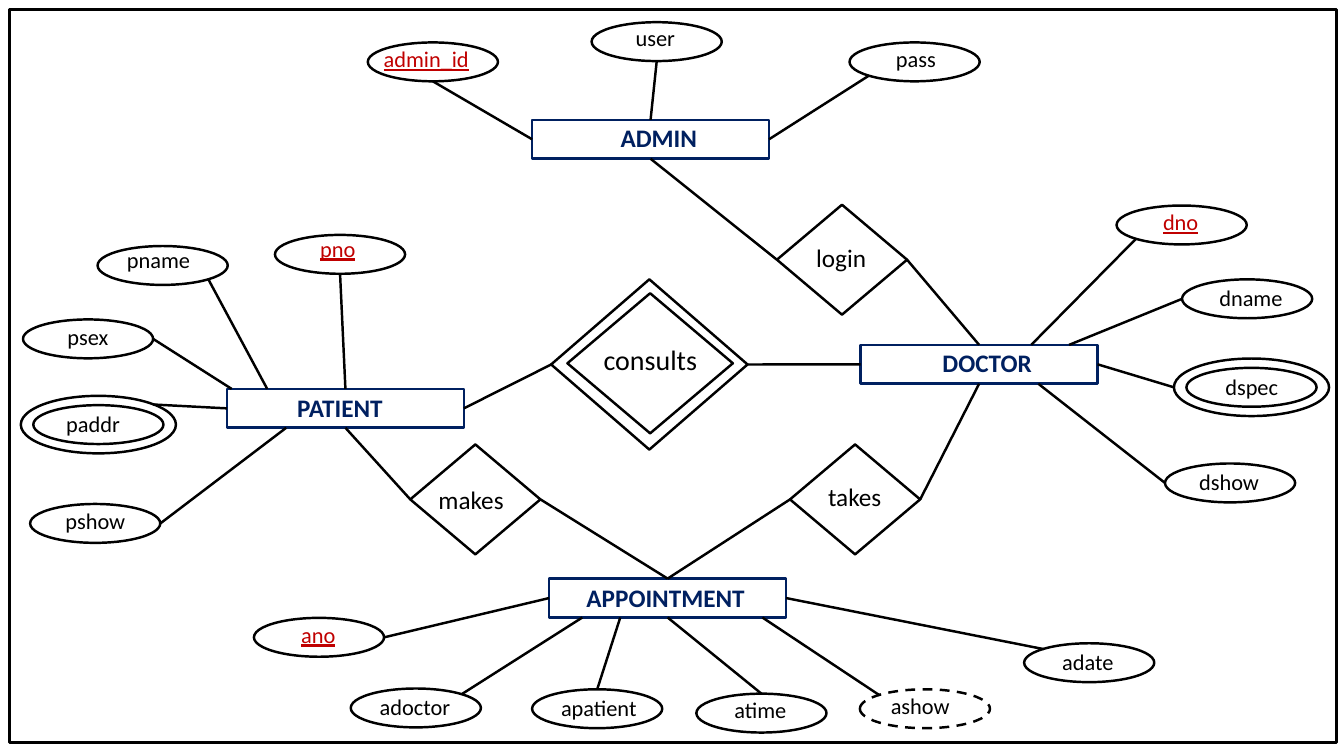
from lxml import etree
from pptx import Presentation
from pptx.dml.color import RGBColor
from pptx.enum.dml import MSO_LINE
from pptx.enum.shapes import MSO_CONNECTOR, MSO_SHAPE
from pptx.enum.text import MSO_AUTO_SIZE
from pptx.oxml.ns import qn
from pptx.util import Cm, Pt

RECT = MSO_SHAPE.RECTANGLE
OVAL = MSO_SHAPE.OVAL
DIAMOND = MSO_SHAPE.FLOWCHART_DECISION
STRAIGHT = MSO_CONNECTOR.STRAIGHT
DASH = MSO_LINE.DASH
FIT = MSO_AUTO_SIZE.SHAPE_TO_FIT_TEXT

FONT = "Calibri"
COLORS = {"ink": "000000", "entity": "002060", "key": "C00000"}
TOP, LEFT, BOTTOM, RIGHT = range(4)

ENTITY_SIZE = (5.97, 0.98)
ATTRIBUTE_SIZE = (3.28, 0.98)
MULTIVALUED_SIZE = (3.91, 1.45)
RELATION_SIZE = (3.28, 2.77)

OVAL_SITES = {
    "top": (0.5, 0), "bottom": (0.5, 1), "left": (0, 0.5), "right": (1, 0.5),
    "top left": (0.15, 0.15), "top right": (0.85, 0.15),
    "bottom left": (0.15, 0.85), "bottom right": (0.85, 0.85),
}

# name: position, label box (left, top, width)
ENTITIES = {
    "ADMIN": ((13.41, 3.02), (15.39, 2.97, 2.6)),
    "PATIENT": ((5.72, 9.8), (7.24, 9.75, 3.43)),
    "DOCTOR": ((21.69, 8.69), (23.5, 8.64, 3.07)),
    "APPOINTMENT": ((13.84, 14.58), (14.53, 14.55, 4.65)),
}

ATTRIBUTES = {
    "ADMIN": [
        ("admin_id", (9.27, 1.07), (9.42, 1.02, 2.67), "bottom", (0, 0.5)),
        ("user", (14.91, 0.56), (15.77, 0.48, 1.52), "bottom", (0.5, 0)),
        ("pass", (21.41, 1.07), (22.33, 1.02, 1.52), "bottom left", (1, 0.5)),
    ],
    "PATIENT": [
        ("pno", (6.93, 5.92), (7.82, 5.79, 1.42), "bottom", (0.5, 0)),
        ("pname", (2.46, 6.2), (2.95, 6.07, 2.11), "bottom right", (0.17, 0)),
        ("psex", (0.58, 8.05), (1.45, 8.03, 1.55), "right", (0.02, 0)),
        ("paddr", (0.84, 10.21), (1.42, 10.21, 1.88), "top right", (0, 0.5)),
        ("pshow", (0.76, 12.7), (1.4, 12.65, 2.03), "right", (0.25, 1)),
    ],
    "DOCTOR": [
        ("dno", (28.14, 5.18), (29.06, 5.13, 1.42), "bottom left", (0.72, 0)),
        ("dname", (29.79, 7.04), (30.48, 7.04, 2.11), "left", (0.88, 0)),
        ("dspec", (29.9, 9.27), (30.63, 9.27, 1.85), "left", (1, 0.5)),
        ("dshow", (29.36, 11.68), (29.97, 11.68, 2.03), "left", (0.75, 1)),
    ],
    "APPOINTMENT": [
        ("ano", (6.4, 15.57), (7.34, 15.52, 1.4), "right", (0, 0.5)),
        ("adoctor", (8.84, 17.35), (9.32, 17.35, 2.31), "top right", (0.14, 1)),
        ("apatient", (13.41, 17.37), (13.89, 17.37, 2.44), "top", (0.3, 1)),
        ("atime", (17.55, 17.48), (18.26, 17.42, 1.83), "top", (0.5, 1)),
        ("ashow", (21.67, 17.37), (22.2, 17.32, 2.01), "top left", (0.9, 1)),
        ("adate", (25.81, 16.21), (26.52, 16.21, 1.83), "top left", (1, 0.5)),
    ],
}
KEYS = {"admin_id", "pno", "dno", "ano"}
MULTIVALUED = {"paddr", "dspec"}
DERIVED = {"ashow"}

RELATIONS = [
    ("login", (19.58, 5.16), (20.32, 5.97, 1.78),
     [(LEFT, "ADMIN", BOTTOM), (RIGHT, "DOCTOR", TOP)]),
    ("makes", (10.34, 11.2), (10.8, 12.07, 2.16),
     [(LEFT, "PATIENT", BOTTOM), (RIGHT, "APPOINTMENT", TOP)]),
    ("takes", (19.91, 11.2), (20.62, 12.01, 1.85),
     [(LEFT, "APPOINTMENT", TOP), (RIGHT, "DOCTOR", BOTTOM)]),
]
CONSULTS_LINKS = [(LEFT, "PATIENT", RIGHT), (RIGHT, "DOCTOR", LEFT)]


def add_outline(s, kind, pos, size, color="ink", width=1.75):
    sp = s.shapes.add_shape(kind, *map(Cm, pos + size))
    sp.shadow.inherit = False
    sp.fill.background()
    sp.line.color.rgb = RGBColor.from_string(COLORS[color])
    sp.line.width = Pt(width)
    return sp


def add_label(s, text, box, size, height, color="ink", wrap=False):
    tf = s.shapes.add_textbox(*map(Cm, box), Cm(height)).text_frame
    tf.word_wrap = wrap
    tf.auto_size = FIT
    tf.text = text
    font = tf.paragraphs[0].runs[0].font
    font.name = FONT
    font.size = Pt(size)
    font.color.rgb = RGBColor.from_string(COLORS[color])
    return font


def add_line(s, start=(0, 0), end=(0, 0)):
    line = s.shapes.add_connector(STRAIGHT, *start, *end)
    line.line.color.rgb = RGBColor.from_string(COLORS["ink"])
    line.line.width = Pt(1.75)
    etree.SubElement(line._element.spPr, qn("a:effectLst"))
    return line


def point_on(sp, site):
    return (round(sp.left + sp.width * site[0]),
            round(sp.top + sp.height * site[1]))


def add_entity(s, name, pos, label):
    sp = add_outline(s, RECT, pos, ENTITY_SIZE, "entity")
    add_label(s, name, label, 18, 1.02, "entity", True).bold = True
    return sp


def add_attribute(s, entity, name, pos, label, site, entity_site):
    sp = add_outline(s, OVAL, pos, ATTRIBUTE_SIZE)
    if name in DERIVED:
        sp.line.dash_style = DASH
    if name in MULTIVALUED:
        outer = tuple(p - (big - small) / 2 for p, big, small
                      in zip(pos, MULTIVALUED_SIZE, ATTRIBUTE_SIZE))
        sp = add_outline(s, OVAL, outer, MULTIVALUED_SIZE)
    add_line(s, point_on(sp, OVAL_SITES[site]), point_on(entity, entity_site))
    font = add_label(s, name, label, 16, 0.94, "key" if name in KEYS else "ink")
    if name in KEYS:
        font.underline = True


def link_relation(s, sp, links, entities):
    for site, name, entity_site in links:
        line = add_line(s)
        line.begin_connect(sp, site)
        line.end_connect(entities[name], entity_site)


def main():
    prs = Presentation()
    prs.slide_width, prs.slide_height = Cm(33.87), Cm(19.05)
    s = prs.slides.add_slide(prs.slide_layouts[6])
    add_outline(s, RECT, (0.25, 0.25), (33.43, 18.47), width=2.25)
    entities = {name: add_entity(s, name, *places)
                for name, places in ENTITIES.items()}
    for owner, attributes in ATTRIBUTES.items():
        for attribute in attributes:
            add_attribute(s, entities[owner], *attribute)
    for name, pos, label, links in RELATIONS:
        sp = add_outline(s, DIAMOND, pos, RELATION_SIZE)
        link_relation(s, sp, links, entities)
        add_label(s, name, label, 18, 1.02)
    add_outline(s, DIAMOND, (14.3, 7.39), (4.17, 3.53))
    consults = add_outline(s, DIAMOND, (13.89, 7.04), (4.95, 4.29))
    link_relation(s, consults, CONSULTS_LINKS, entities)
    add_label(s, "consults", (14.96, 8.51, 2.9), 20, 1.12)
    prs.save("out.pptx")


main()
